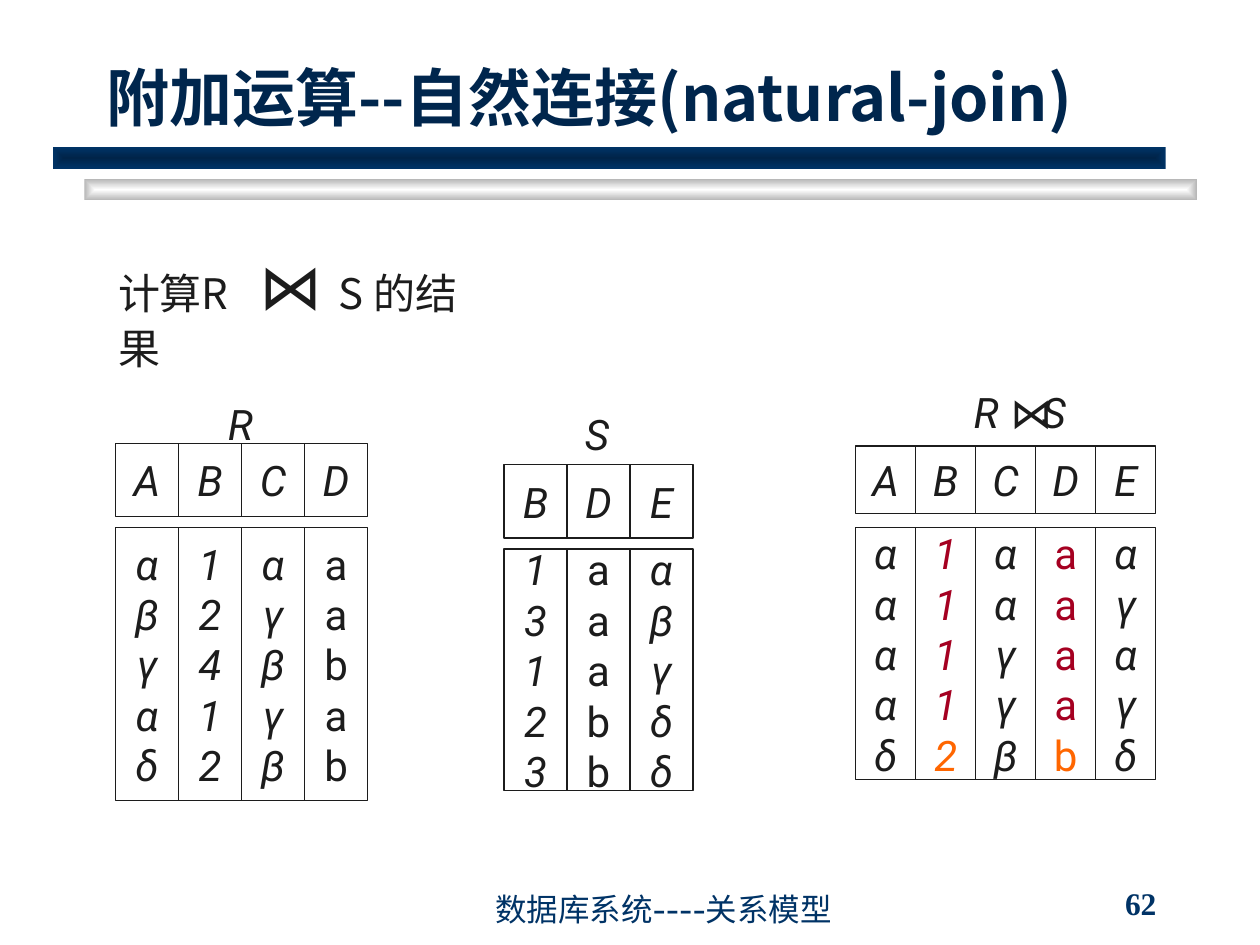
import lxml.etree
import pptx
import pptx.dml.color
import pptx.enum.shapes
import pptx.enum.text
import pptx.oxml.ns
import pptx.util
from dataclasses import dataclass

Cm = pptx.util.Cm
qn = pptx.oxml.ns.qn
ALIGN = pptx.enum.text.PP_ALIGN
ANCHOR = pptx.enum.text.MSO_ANCHOR


@dataclass(frozen=True)
class Theme:
    ink: str = "1C1C1C"
    title: str = "00264D"
    footer: str = "003366"
    match_one: str = "A50021"
    match_two: str = "FF6600"
    table_font: str = "Roboto"
    symbol_font: str = "Cabin"
    title_font: str = "Noto Sans CJK SC"
    task_font: str = "Noto Sans CJK JP"
    number_font: str = "Times New Roman"
    title_size: int = 36
    body_size: int = 24
    footer_size: int = 18
    line_width: float = 0.75


THEME = Theme()

TITLE = "附加运算--自然连接(natural-join)"
FOOTER = "数据库系统----关系模型"
PAGE_NUMBER = "62"
TASK = [("计算R\t", THEME.body_size), ("⋈", THEME.title_size), ("\tS 的结果", THEME.body_size)]

# Bars under the title: left, top, centre colour, edge colour (cm)
BARS = [(1.7, 3.61, "FFFFFF", "B6B6B6"), (1.07, 2.97, "002449", "003366")]
BAR_WIDTH, BAR_HEIGHT = 22.43, 0.43

# Each column is (attribute, one character per row); lengths in cm
RELATIONS = [
    dict(columns=[("A", "αβγαδ"), ("B", "12412"), ("C", "αγβγβ"), ("D", "aabab")],
         left=2.33, column_width=1.27, head=(8.94, 1.48), body=(10.64, 5.5)),
    dict(columns=[("B", "13123"), ("D", "aaabb"), ("E", "αβγδδ")],
         left=10.16, column_width=1.27, head=(9.37, 1.48), body=(11.07, 4.87)),
    dict(columns=[("A", "ααααδ"), ("B", "11112"), ("C", "ααγγβ"), ("D", "aaaab"), ("E", "αγαγδ")],
         left=17.25, column_width=1.21, head=(8.99, 1.37), body=(10.64, 5.08),
         marked={"B", "D"}),
]
RELATION_NAMES = [("R", 4.3, 7.9, 1.1), ("S", 11.5, 8.1, 1.07)]
MATCH_COLORS = [THEME.match_one] * 4 + [THEME.match_two]


def style(span, font, size, color, bold=False, italic=False):
    span.font.name = font
    span.font.size = pptx.util.Pt(size)
    span.font.bold = bold
    span.font.italic = italic
    span.font.color.rgb = pptx.dml.color.RGBColor.from_string(color)
    for tag in ("a:ea", "a:sym"):
        lxml.etree.SubElement(span.font._element, qn(tag)).set("typeface", font)


def set_tabs(para, stops):
    tab_list = lxml.etree.SubElement(para._p.get_or_add_pPr(), qn("a:tabLst"))
    for stop in stops:
        lxml.etree.SubElement(tab_list, qn("a:tab"), pos=str(Cm(stop)), algn="l")


def add_text(page, text, place, font, size, color, anchor=ANCHOR.TOP,
             align=ALIGN.LEFT, tabs=(), wrap=False, **emphasis):
    box = page.shapes.add_textbox(*map(Cm, place))
    frame = box.text_frame
    frame.word_wrap = wrap
    frame.vertical_anchor = anchor
    para = frame.paragraphs[0]
    para.alignment = align
    if tabs:
        set_tabs(para, tabs)
    pieces = [(text, size)] if isinstance(text, str) else text
    for words, piece_size in pieces:
        span = para.add_run()
        span.text = words
        style(span, font, piece_size, color, **emphasis)


def add_bar(page, left, top, centre, edge):
    bar = page.shapes.add_shape(pptx.enum.shapes.MSO_SHAPE.RECTANGLE,
                                Cm(left), Cm(top), Cm(BAR_WIDTH), Cm(BAR_HEIGHT))
    bar.shadow.inherit = False
    bar.line.fill.background()
    bar.fill.gradient()
    for stop, color in zip(bar.fill.gradient_stops, (centre, edge)):
        stop.color.rgb = pptx.dml.color.RGBColor.from_string(color)
    gradient = bar._element.spPr.find(qn("a:gradFill"))
    linear = gradient.find(qn("a:lin"))
    shape_path = lxml.etree.Element(qn("a:path"))
    shape_path.set("path", "shape")
    lxml.etree.SubElement(shape_path, qn("a:fillToRect"), l="50000", t="50000", r="50000", b="50000")
    gradient.replace(linear, shape_path)


def add_cell(page, values, left, top, width, height, colors):
    """Draw one outlined box with a centred line for each value."""
    cell = page.shapes.add_shape(pptx.enum.shapes.MSO_SHAPE.RECTANGLE,
                                 *map(Cm, (left, top, width, height)))
    cell.shadow.inherit = False
    cell.fill.background()
    cell.line.color.rgb = pptx.dml.color.RGBColor.from_string(THEME.ink)
    cell.line.width = pptx.util.Pt(THEME.line_width)
    frame = cell.text_frame
    frame.word_wrap = False
    frame.vertical_anchor = ANCHOR.MIDDLE
    frame.text = "\n".join(values)
    for para, color in zip(frame.paragraphs, colors):
        para.alignment = ALIGN.CENTER
        span = para.runs[0]
        style(span, THEME.table_font, THEME.body_size, color, italic=span.text not in "ab")


def add_relation(page, columns, left, column_width, head, body, marked=()):
    for index, (attribute, values) in enumerate(columns):
        x = left + index * column_width
        plain = [THEME.ink] * len(values)
        add_cell(page, attribute, x, head[0], column_width, head[1], plain)
        add_cell(page, values, x, body[0], column_width, body[1],
                 MATCH_COLORS if attribute in marked else plain)


def main():
    deck = pptx.Presentation()
    deck.slide_width, deck.slide_height = Cm(25.4), Cm(19.05)
    page = deck.slides.add_slide(deck.slide_layouts[6])

    for bar in BARS:
        add_bar(page, *bar)
    add_text(page, FOOTER, (9.73, 17.98, 10.36, 0.84), THEME.symbol_font,
             THEME.footer_size, THEME.footer, ANCHOR.BOTTOM)
    add_text(page, TITLE, (1.9, 0.64, 21.64, 2.18), THEME.title_font,
             THEME.title_size, THEME.title, ANCHOR.BOTTOM, wrap=True, bold=True)

    for relation in RELATIONS:
        add_relation(page, **relation)
    for name, left, top, width in RELATION_NAMES:
        add_text(page, name, (left, top, width, 1.27), THEME.table_font, THEME.body_size,
                 THEME.ink, ANCHOR.MIDDLE, ALIGN.CENTER, italic=True)
    add_text(page, "R\tS", (19.38, 7.67, 3.17, 1.14), THEME.table_font, THEME.body_size,
             THEME.ink, tabs=[1.37], wrap=True, italic=True)
    add_text(page, "⋈", (20.12, 7.67, 1.22, 1.27), THEME.symbol_font, THEME.body_size, THEME.ink)

    add_text(page, TASK, (2.13, 4.85, 7.4, 1.8), THEME.task_font, THEME.body_size,
             THEME.ink, tabs=[2.85, 4.45], wrap=True)
    add_text(page, PAGE_NUMBER, (22.43, 17.78, 2.74, 0.84), THEME.number_font,
             THEME.footer_size, THEME.footer, ANCHOR.MIDDLE, bold=True)
    deck.save("out.pptx")


if __name__ == "__main__":
    main()
